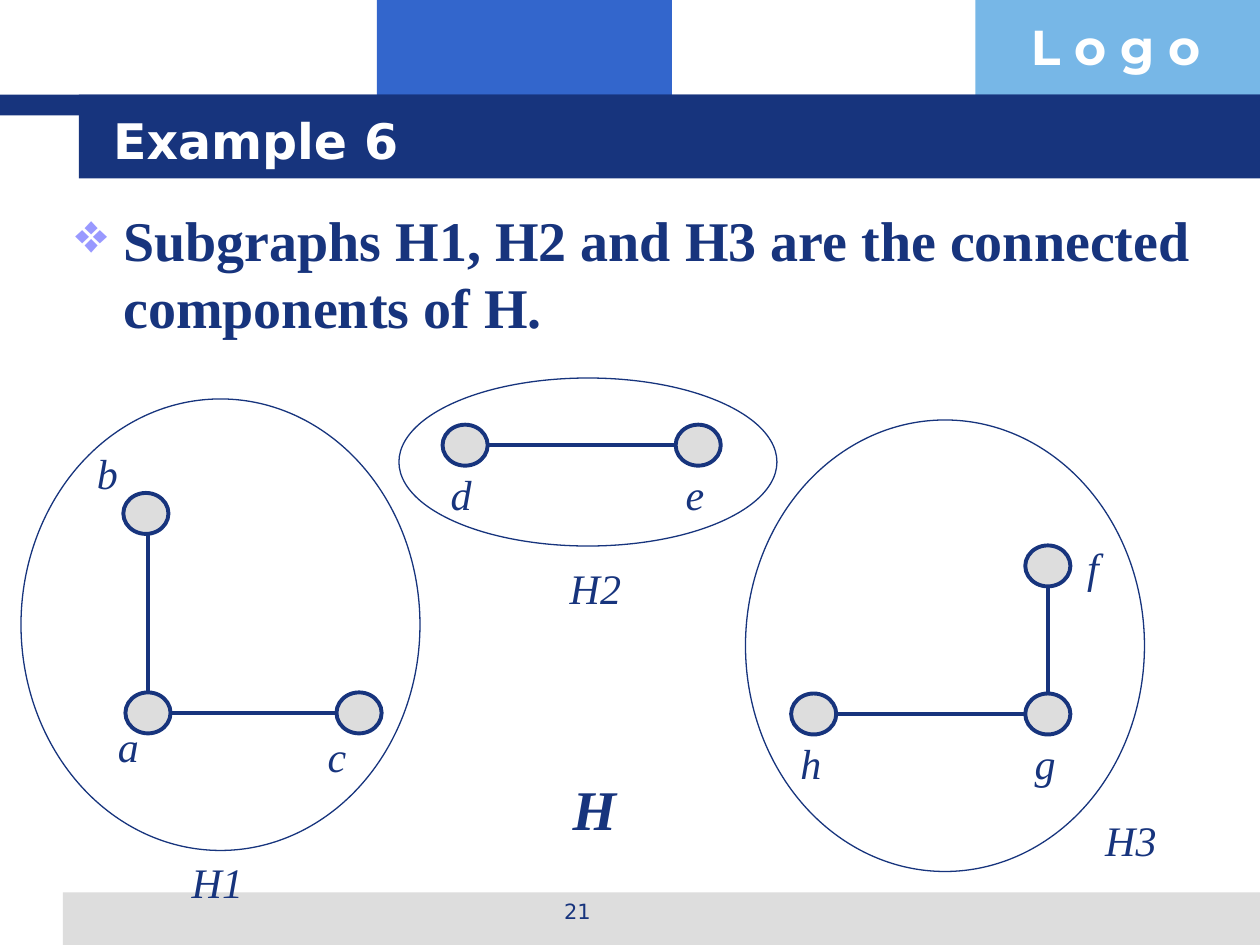
from lxml.etree import SubElement
from pptx import Presentation
from pptx.dml.color import RGBColor
from pptx.enum.shapes import MSO_CONNECTOR, MSO_SHAPE
from pptx.enum.text import MSO_ANCHOR, PP_ALIGN
from pptx.oxml.ns import qn
from pptx.util import Inches, Pt

THEME = dict(navy="17347D", blue="3366CC", sky="77B7E7", grey="DDDDDD", white="FFFFFF",
             lilac="9999FF", sans="DejaVu Sans", serif="Times New Roman", logo="Montserrat",
             small=12, label=24, heading=28, body=32, ring=0.75, stroke=2.25)

deck = Presentation()
deck.slide_width, deck.slide_height = Inches(10), Inches(7.5)
slide = deck.slides.add_slide(deck.slide_layouts[6])
UNIT = deck.slide_width / 120  # the grid has 120 columns and 90 rows


def add_figure(kind, box, fill=None, stroke=None):
    figure = slide.shapes.add_shape(kind, *[round(n * UNIT) for n in box])
    figure.shadow.inherit = False
    if fill:
        figure.fill.solid()
        figure.fill.fore_color.rgb = RGBColor.from_string(THEME[fill])
    else:
        figure.fill.background()
    if stroke:
        figure.line.color.rgb = RGBColor.from_string(THEME["navy"])
        figure.line.width = Pt(THEME[stroke])
    else:
        figure.line.fill.background()


def add_text(words, box, size, face, color="navy", align=PP_ALIGN.LEFT,
             anchor=MSO_ANCHOR.TOP, wrap=True, bullet=None, **styles):
    frame = slide.shapes.add_textbox(*[round(n * UNIT) for n in box]).text_frame
    frame.word_wrap, frame.vertical_anchor = wrap, anchor
    paragraph = frame.paragraphs[0]
    paragraph.text, paragraph.alignment = words, align
    if bullet:
        props = paragraph._p.get_or_add_pPr()
        props.set("marL", str(Inches(0.38)))
        props.set("indent", str(-Inches(0.38)))
        tint = SubElement(props, qn("a:buClr"))
        SubElement(tint, qn("a:srgbClr"), val=THEME["lilac"])
        SubElement(props, qn("a:buChar"), char=bullet)
    font = paragraph.runs[0].font
    font.color.rgb = RGBColor.from_string(THEME[color])
    for key, value in dict(size=Pt(THEME[size]), name=THEME[face], **styles).items():
        setattr(font, key, value)


# Header blocks, title band and footer
for box, fill in [((35.9, 0, 28.1, 11), "blue"), ((92.9, 0, 27.1, 11), "sky"),
                  ((6, 85, 114, 5), "grey"), ((0, 9, 120, 2), "navy"),
                  ((7.5, 9, 112.5, 8), "navy")]:
    add_figure(MSO_SHAPE.RECTANGLE, box, fill)
add_text("L o g o", (97, 1, 23, 6.8), "heading", "logo", "white", bold=True)
add_text("21", (41, 85, 28, 4.2), "small", "sans", align=PP_ALIGN.CENTER)

# Title and statement
add_text("Example 6", (9.6, 9.6, 102.4, 7.4), "heading", "sans", "white",
         anchor=MSO_ANCHOR.MIDDLE, bold=True)
add_text("Subgraphs H1, H2 and H3 are the connected components of H.",
         (6, 19, 112, 64), "body", "serif", bullet="❖", bold=True)

# Vertices: centre of the circle, then centre of its label
NODE_W, NODE_H = 4.3, 3.9
vertices = {
    "a": ((14.1, 67.9), (12.2, 71)), "b": ((13.9, 48.9), (10.2, 45)),
    "c": ((34.2, 67.9), (32.1, 72)), "d": ((44.3, 42.4), (43.9, 47)),
    "e": ((66.5, 42.4), (66.2, 47)), "f": ((99.8, 53.9), (104.1, 54)),
    "g": ((99.8, 68), (99.5, 72.6)), "h": ((77.5, 68), (77.2, 72.6)),
}
for (x, y), _ in vertices.values():
    add_figure(MSO_SHAPE.OVAL, (x - NODE_W / 2, y - NODE_H / 2, NODE_W, NODE_H), "grey", "stroke")

# Edges run from rim to rim, rightwards or downwards
for start, end in ["ac", "ba", "de", "hg", "fg"]:
    (x1, y1), (x2, y2) = vertices[start][0], vertices[end][0]
    if x2 - x1 > y2 - y1:
        ends = x1 + NODE_W / 2, y1, x2 - NODE_W / 2, y1
    else:
        ends = x2, y1 + NODE_H / 2, x2, y2 - NODE_H / 2
    edge = slide.shapes.add_connector(MSO_CONNECTOR.STRAIGHT, *[round(n * UNIT) for n in ends])
    edge.line.color.rgb = RGBColor.from_string(THEME["navy"])
    edge.line.width = Pt(THEME["stroke"])
    SubElement(edge._element.spPr, qn("a:effectLst"))

# Rings around the connected components
for ring in [(2, 38, 38, 43), (38, 36, 36, 16), (71, 40, 38, 43)]:
    add_figure(MSO_SHAPE.OVAL, ring, stroke="ring")

# Labels of vertices, components and the whole graph
labels = [(name, label, 4.3, 6, "label", False) for name, (_, label) in vertices.items()]
labels += [(name, centre, 7.3, 6, "label", False) for name, centre in
           [("H1", (20.7, 84)), ("H2", (56.7, 56)), ("H3", (107.7, 80))]]
labels.append(("H", (56.6, 77), 6.5, 7.7, "body", True))
for name, (x, y), width, height, size, bold in labels:
    add_text(name, (x - width / 2, y - height / 2, width, height), size, "serif",
             align=PP_ALIGN.CENTER, anchor=MSO_ANCHOR.MIDDLE, wrap=False,
             italic=True, bold=bold)

deck.save("out.pptx")
